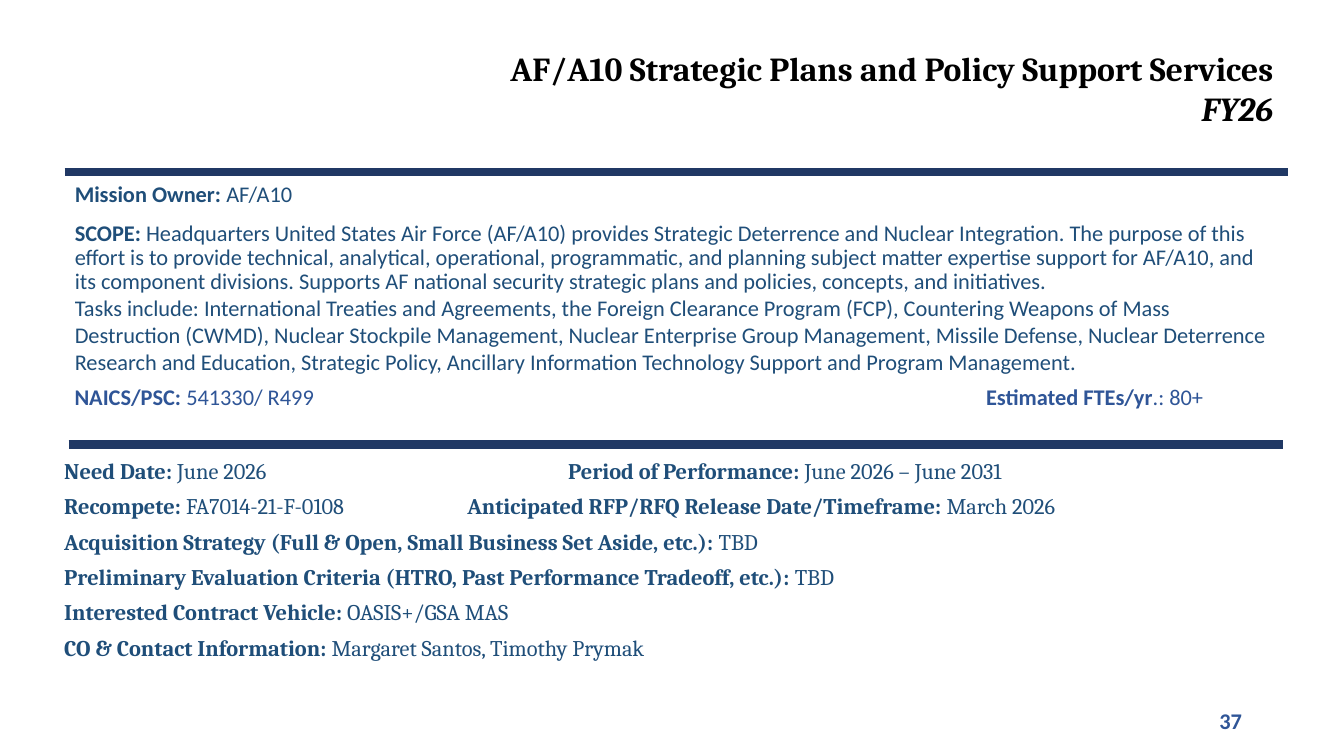
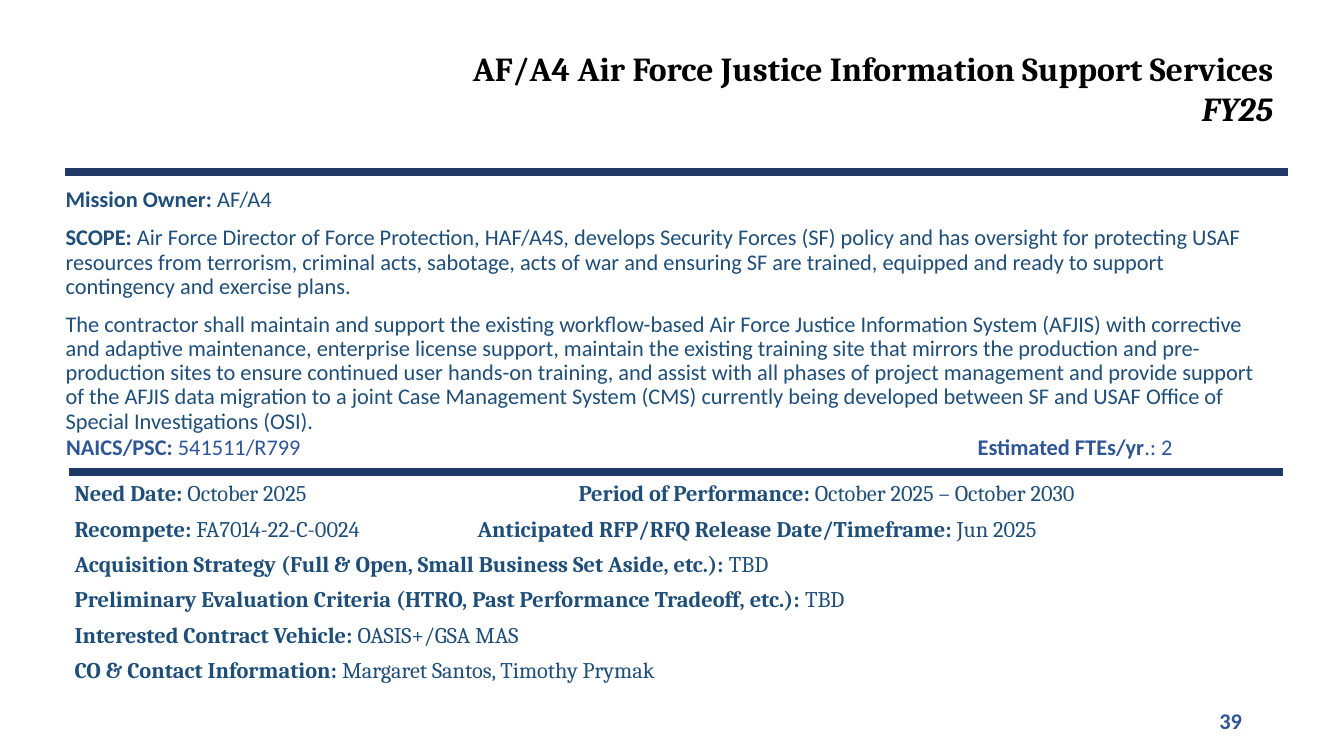
import pptx
import pptx.dml.color
import pptx.enum.shapes
import pptx.enum.text
import pptx.oxml
import pptx.oxml.ns
import pptx.util
from pptx.util import Cm

RGBColor = pptx.dml.color.RGBColor
BLACK = RGBColor(0x00, 0x00, 0x00)
BAND_NAVY = RGBColor(0x20, 0x38, 0x64)
TEXT_BLUE = RGBColor(0x1F, 0x4E, 0x79)
ACCENT_BLUE = RGBColor(0x2F, 0x55, 0x97)

TITLE_FONT = {"name": "Cambria", "size": pptx.util.Pt(24), "color": BLACK}
SCOPE_FONT = {"name": "Calibri", "size": pptx.util.Pt(16), "color": TEXT_BLUE}
CODES_FONT = {"name": "Calibri", "size": pptx.util.Pt(16), "color": ACCENT_BLUE}
AWARD_FONT = {"name": "Cambria", "size": pptx.util.Pt(16), "color": TEXT_BLUE}

RIGHT = pptx.enum.text.PP_ALIGN.RIGHT
TOP = pptx.enum.text.MSO_ANCHOR.TOP
MIDDLE = pptx.enum.text.MSO_ANCHOR.MIDDLE

PERIOD_TAB = Cm(12.7)
RELEASE_TAB = Cm(10.16)
STAFF_TAB = Cm(22.97)

TIGHT = {"line_spacing": 0.9, "space_before": pptx.util.Pt(10)}
PLAIN = {"line_spacing": 1.0, "space_before": pptx.util.Pt(0)}

COMMON_AWARD_FACTS = [
    ("Acquisition Strategy (Full & Open, Small Business Set Aside, etc.): ", "TBD"),
    ("Preliminary Evaluation Criteria (HTRO, Past Performance Tradeoff, etc.): ", "TBD"),
    ("Interested Contract Vehicle: ", "OASIS+/GSA MAS"),
    ("CO & Contact Information: ", "Margaret Santos, Timothy Prymak"),
]

OPPORTUNITIES = [
    {
        "title": "AF/A10 Strategic Plans and Policy Support Services",
        "year": "FY26",
        "number": "37",
        "owner": "AF/A10",
        "scope": "Headquarters United States Air Force (AF/A10) provides Strategic Deterrence and "
                 "Nuclear Integration. The purpose of this effort is to provide technical, analytical, "
                 "operational, programmatic, and planning subject matter expertise support for AF/A10, "
                 "and its component divisions. Supports AF national security strategic plans and "
                 "policies, concepts, and initiatives.",
        "tasks": "Tasks include: International Treaties and Agreements, the Foreign Clearance Program "
                 "(FCP), Countering Weapons of Mass Destruction (CWMD), Nuclear Stockpile Management, "
                 "Nuclear Enterprise Group Management, Missile Defense, Nuclear Deterrence Research and "
                 "Education, Strategic Policy, Ancillary Information Technology Support and Program "
                 "Management.",
        "tasks_spacing": PLAIN,
        "codes": "541330/ R499",
        "staff": "80+",
        "need": "June 2026",
        "period": "June 2026 – June 2031",
        "recompete": "FA7014-21-F-0108",
        "release": "March 2026",
        "scope_at": (Cm(1.63), Cm(4.5)),
        "codes_at": (Cm(1.63), Cm(9.53)),
        "band_top": Cm(11.2),
        "award_at": (Cm(1.37), Cm(11.4)),
    },
    {
        "title": "AF/A4 Air Force Justice Information Support Services",
        "year": "FY25",
        "number": "39",
        "owner": "AF/A4",
        "scope": "Air Force Director of Force Protection, HAF/A4S, develops Security Forces (SF) policy "
                 "and has oversight for protecting USAF resources from terrorism, criminal acts, "
                 "sabotage, acts of war and ensuring SF are trained, equipped and ready to support "
                 "contingency and exercise plans.",
        "tasks": "The contractor shall maintain and support the existing workflow-based Air Force "
                 "Justice Information System (AFJIS) with corrective and adaptive maintenance, "
                 "enterprise license support, maintain the existing training site that mirrors the "
                 "production and pre-production sites to ensure continued user hands-on training, and "
                 "assist with all phases of project management and provide support of the AFJIS data "
                 "migration to a joint Case Management System (CMS) currently being developed between "
                 "SF and USAF Office of Special Investigations (OSI).",
        "tasks_spacing": TIGHT,
        "codes": "541511/R799",
        "staff": "2",
        "need": "October 2025",
        "period": "October 2025 – October 2030",
        "recompete": "FA7014-22-C-0024",
        "release": "Jun 2025",
        "scope_at": (Cm(1.4), Cm(4.62)),
        "codes_at": (Cm(1.42), Cm(10.8)),
        "band_top": Cm(11.89),
        "award_at": (Cm(1.63), Cm(11.96)),
    },
]


def bold(text):
    return text, {"bold": True, "italic": False}


def regular(text):
    return text, {"bold": False, "italic": False}


def line(*spans, tab=None, **layout):
    return {"spans": spans, "tab": tab, "layout": layout}


def append_element(parent, tag, **attributes):
    element = pptx.oxml.parse_xml(f"<{tag} {pptx.oxml.ns.nsdecls('a')}/>")
    for name, value in attributes.items():
        element.set(name, str(value))
    parent.append(element)
    return element


def apply_font(font, values):
    for name, value in values.items():
        if name == "color":
            font.color.rgb = value
        else:
            setattr(font, name, value)


def place(box, left, top, width, height):
    box.left, box.top, box.width, box.height = left, top, width, height


def write(box, lines, font, anchor=TOP):
    frame = box.text_frame
    frame.word_wrap = True
    frame.auto_size = pptx.enum.text.MSO_AUTO_SIZE.NONE
    frame.vertical_anchor = anchor
    for index, content in enumerate(lines):
        para = frame.add_paragraph() if index else frame.paragraphs[0]
        properties = para._p.get_or_add_pPr()
        if box.is_placeholder:
            properties.set("marL", "0")
            properties.set("indent", "0")
            append_element(properties, "a:buNone")
        if content["tab"]:
            tabs = append_element(properties, "a:tabLst")
            append_element(tabs, "a:tab", pos=int(content["tab"]), algn="l")
        for name, value in content["layout"].items():
            setattr(para, name, value)
        if not index:
            para.space_before = pptx.util.Pt(0)
        for text, style in content["spans"]:
            span = para.add_run()
            span.text = text
            apply_font(span.font, {**font, **style})


def add_text(page, left, top, width, height, lines, font, anchor=TOP):
    box = page.shapes.add_textbox(left, top, width, height)
    write(box, lines, font, anchor)


def add_band(page, left, right, top):
    band = page.shapes.add_connector(
        pptx.enum.shapes.MSO_CONNECTOR.STRAIGHT, left, top, right, top)
    band.line.color.rgb = BAND_NAVY
    band.line.width = pptx.util.Pt(6)
    append_element(band._element.spPr, "a:effectLst")


def award_lines(item):
    spacing = {"space_before": pptx.util.Pt(6)}
    rows = [
        line(bold("Need Date: "), regular(item["need"]),
             bold("\tPeriod of Performance: "), regular(item["period"]), tab=PERIOD_TAB, **spacing),
        line(bold("Recompete: "), regular(item["recompete"]),
             bold("\tAnticipated RFP/RFQ Release Date/Timeframe: "), regular(item["release"]),
             tab=RELEASE_TAB, **spacing),
    ]
    return rows + [line(bold(label), regular(value), **spacing)
                   for label, value in COMMON_AWARD_FACTS]


def add_page(deck, item):
    page = deck.slides.add_slide(deck.slide_layouts[1])
    title, body = page.placeholders[0], page.placeholders[1]

    place(title, Cm(9.53), Cm(1.07), Cm(22.81), Cm(2.31))
    write(title, [
        line(bold(item["title"]), alignment=RIGHT),
        line((item["year"], {"bold": True, "italic": True}), alignment=RIGHT),
    ], TITLE_FONT)

    place(body, *item["scope_at"], Cm(30.84), Cm(13.31))
    write(body, [
        line(bold("Mission Owner: "), regular(item["owner"]), **TIGHT),
        line(bold("SCOPE: "), regular(item["scope"]), **TIGHT),
        line(regular(item["tasks"]), **item["tasks_spacing"]),
    ], SCOPE_FONT)

    add_band(page, Cm(1.63), Cm(32.46), Cm(4.34))
    add_band(page, Cm(1.73), Cm(32.33), item["band_top"])
    add_text(page, *item["codes_at"], Cm(30.35), Cm(0.94), [
        line(bold("NAICS/PSC: "), regular(item["codes"]),
             bold("\tEstimated FTEs/yr"), regular(".: " + item["staff"]), tab=STAFF_TAB),
    ], CODES_FONT)
    add_text(page, *item["award_at"], Cm(30.61), Cm(5.44), award_lines(item), AWARD_FONT)
    add_text(page, Cm(23.93), Cm(17.65), Cm(7.62), Cm(1.02),
             [line(bold(item["number"]), alignment=RIGHT)], CODES_FONT, MIDDLE)


def main():
    deck = pptx.Presentation()
    deck.slide_width, deck.slide_height = Cm(33.87), Cm(19.05)
    for item in OPPORTUNITIES:
        add_page(deck, item)
    deck.save("out.pptx")


if __name__ == "__main__":
    main()
